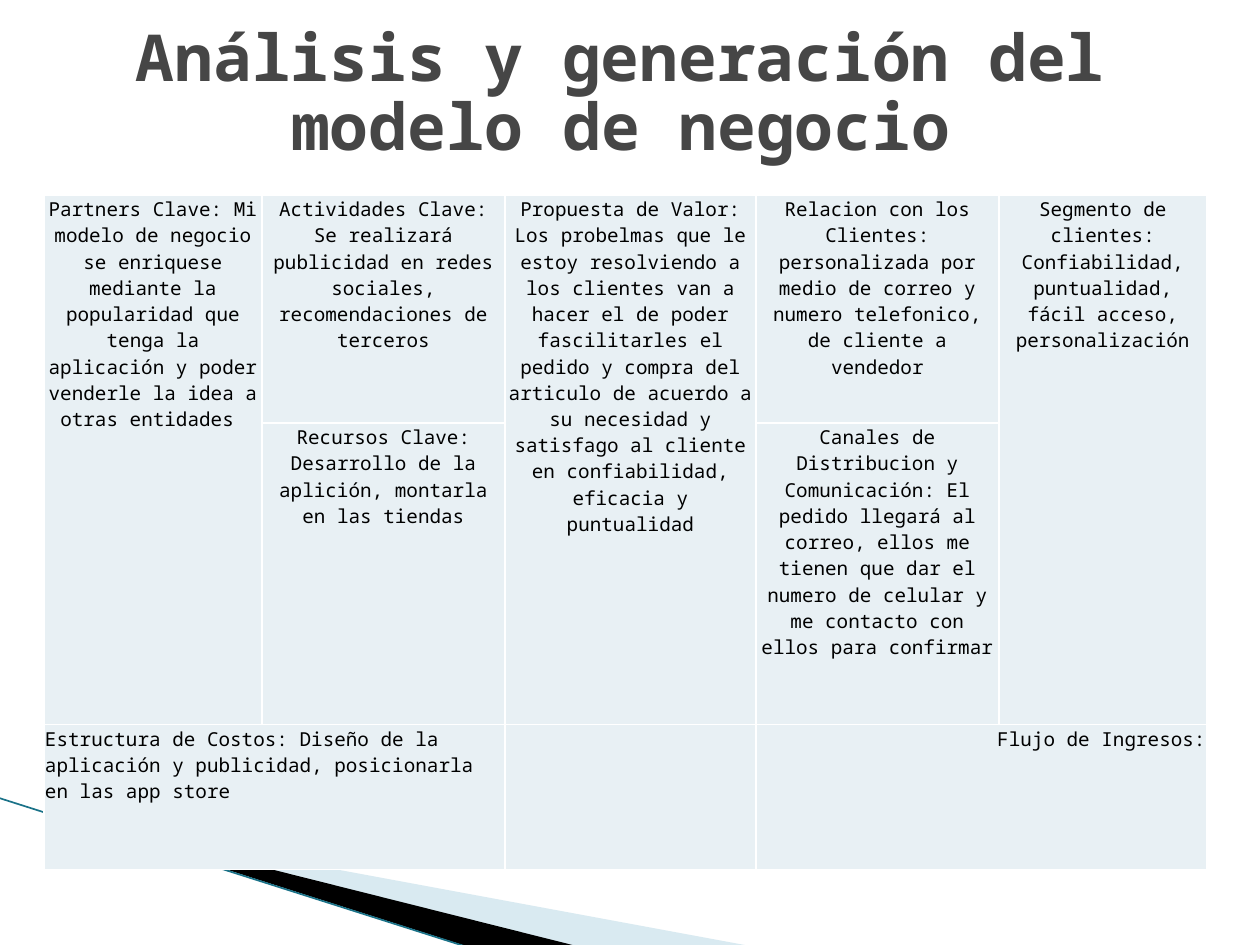
from lxml import etree
from pptx import Presentation, util as u
from pptx.dml.color import RGBColor
from pptx.enum import shapes, text
from pptx.oxml.ns import qn

PX = 914400 // 126
FONT = "Noto Sans Mono"
LEFT, CENTER, RIGHT = text.PP_ALIGN.LEFT, text.PP_ALIGN.CENTER, text.PP_ALIGN.RIGHT

TITLE = "Análisis y generación del modelo de negocio"
COLUMNS = [218, 243, 251, 243, 208]
ROWS = [228, 242, 145]

# row, column, rows spanned, columns spanned, alignment, wording
BLOCKS = [
    (0, 0, 2, 1, CENTER, "Partners Clave: Mi modelo de negocio se enriquese mediante la "
     "popularidad que tenga la aplicación y poder venderle la idea a otras entidades "),
    (0, 1, 1, 1, CENTER, "Actividades Clave: Se realizará publicidad en redes sociales, "
     "recomendaciones de terceros"),
    (0, 2, 2, 1, CENTER, "Propuesta de Valor: Los probelmas que le estoy resolviendo a los "
     "clientes van a hacer el de poder fascilitarles el pedido y compra del articulo de "
     "acuerdo a su necesidad y satisfago al cliente en confiabilidad, eficacia y puntualidad"),
    (0, 3, 1, 1, CENTER, "Relacion con los Clientes: personalizada por medio de correo y "
     "numero telefonico, de cliente a vendedor"),
    (0, 4, 2, 1, CENTER, "Segmento de clientes: Confiabilidad, puntualidad, fácil acceso, "
     "personalización"),
    (1, 1, 1, 1, CENTER, "Recursos Clave: Desarrollo de la aplición, montarla en las tiendas"),
    (1, 3, 1, 1, CENTER, "Canales de Distribucion y Comunicación: El pedido llegará al correo, "
     "ellos me tienen que dar el numero de celular y me contacto con ellos para confirmar"),
    (2, 0, 1, 2, LEFT, "Estructura de Costos: Diseño de la aplicación y publicidad, "
     "posicionarla en las app store"),
    (2, 3, 1, 2, RIGHT, "Flujo de Ingresos:"),
]

# outline, colour, opacity in percent
WEDGES = [
    ([(69, 820), (750, 946), (575, 946), (69, 819)], "A0CBDC", 40),
    ([(67, 818), (576, 946), (469, 947), (68, 819)], "000000", 100),
]
EDGE = (-1, 798, 467, 947)


def color(value):
    return RGBColor.from_string(value)


def px(*lengths):
    return [length * PX for length in lengths]


def style(paragraph, size, ink, align, bold=False):
    paragraph.alignment = align
    for run in paragraph.runs:
        run.font.name, run.font.size, run.font.bold = FONT, u.Pt(size), bold
        run.font.color.rgb = color(ink)


def add_borders(cell):
    props = cell._tc.get_or_add_tcPr()
    for place, side in enumerate(("lnL", "lnR", "lnT", "lnB")):
        border = etree.Element(qn("a:" + side), w=str(u.Pt(1)))
        fill = etree.SubElement(border, qn("a:solidFill"))
        etree.SubElement(fill, qn("a:srgbClr"), val="FFFFFF")
        props.insert(place, border)


deck = Presentation()
deck.slide_width, deck.slide_height = u.Inches(10), u.Inches(7.5)
slide = deck.slides.add_slide(deck.slide_layouts[6])

# Corner decoration
for outline, tint, opacity in WEDGES:
    builder = slide.shapes.build_freeform(*outline[0], scale=PX)
    builder.add_line_segments(outline[1:], close=True)
    wedge = builder.convert_to_shape()
    wedge.shadow.inherit = False
    wedge.line.fill.background()
    wedge.fill.solid()
    wedge.fill.fore_color.rgb = color(tint)
    if opacity < 100:
        tint_xml = wedge._element.spPr.find(".//" + qn("a:srgbClr"))
        etree.SubElement(tint_xml, qn("a:alpha"), val=str(opacity * 1000))

edge = slide.shapes.add_connector(shapes.MSO_CONNECTOR.STRAIGHT, *px(*EDGE))
edge.line.color.rgb = color("1A7288")
edge.line.width = u.Pt(0.95)
etree.SubElement(edge._element.spPr, qn("a:effectLst"))

# Title
title = slide.shapes.add_textbox(*px(54, 16, 1134, 158)).text_frame
title.word_wrap = True
title.vertical_anchor = text.MSO_ANCHOR.MIDDLE
title.text = TITLE
title.paragraphs[0].line_spacing = 0.9
style(title.paragraphs[0], 36.9, "464646", CENTER, bold=True)

# Business model canvas
canvas = slide.shapes.add_table(len(ROWS), len(COLUMNS),
                                *px(44, 195, sum(COLUMNS), sum(ROWS))).table
canvas.first_row = canvas.horz_banding = False
for column, width in zip(canvas.columns, px(*COLUMNS)):
    column.width = width
for row, height in zip(canvas.rows, px(*ROWS)):
    row.height = height

for cell in canvas.iter_cells():
    cell.fill.solid()
    cell.fill.fore_color.rgb = color("E8F0F4")
    cell.margin_left = cell.margin_right = cell.margin_top = PX
    cell.margin_bottom = 0
    add_borders(cell)

for row, column, down, across, align, wording in BLOCKS:
    block = canvas.cell(row, column)
    if down * across > 1:
        block.merge(canvas.cell(row + down - 1, column + across - 1))
    block.text_frame.text = wording
    style(block.text_frame.paragraphs[0], 11, "000000", align)

deck.save("out.pptx")
